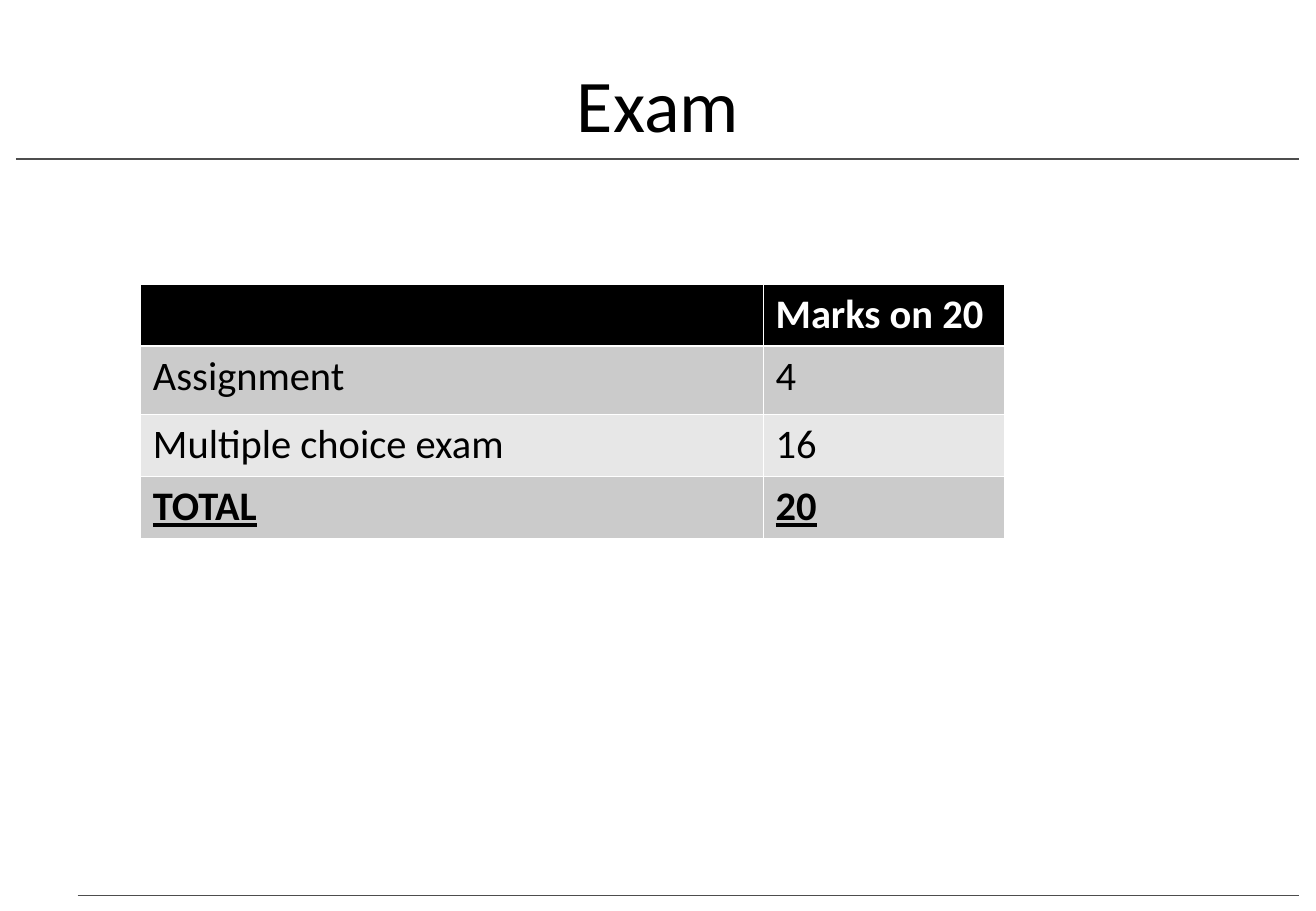
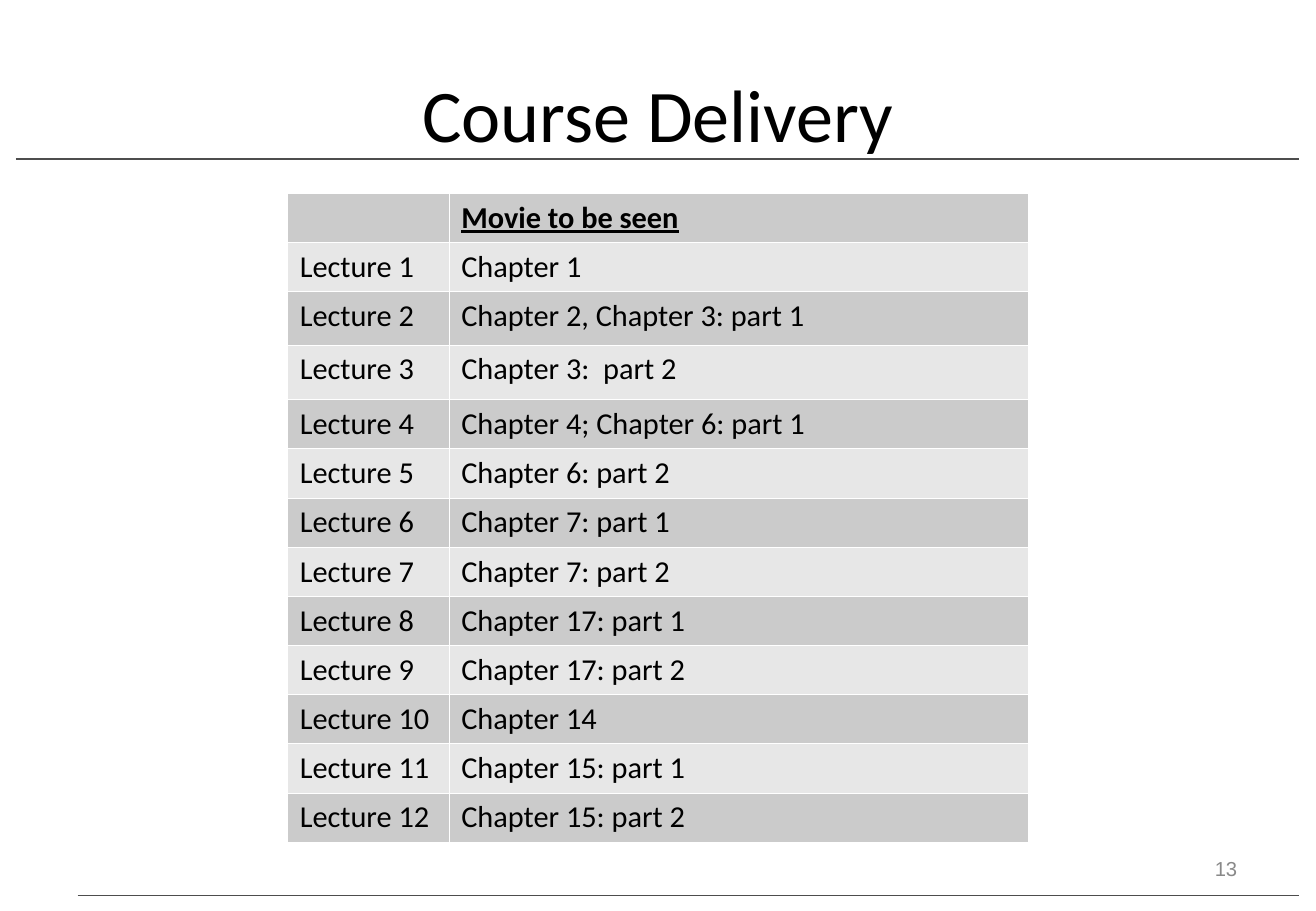
from dataclasses import dataclass
from typing import Optional

from lxml import etree
from pptx import Presentation
from pptx.dml.color import RGBColor
from pptx.enum.shapes import MSO_CONNECTOR
from pptx.enum.text import MSO_ANCHOR, PP_ALIGN
from pptx.oxml.ns import qn
from pptx.slide import Slide
from pptx.table import _Cell
from pptx.text.text import _Paragraph
from pptx.util import Inches, Pt

STRAIGHT = MSO_CONNECTOR.STRAIGHT
MIDDLE = MSO_ANCHOR.MIDDLE
CENTER, RIGHT = PP_ALIGN.CENTER, PP_ALIGN.RIGHT
WIDTH, HEIGHT = Inches(10.84), Inches(7.5)


@dataclass(frozen=True)
class Theme:
    ink: str = "000000"
    paper: str = "FFFFFF"
    rule: str = "4D4D4D"
    number: str = "898989"
    bands: tuple[str, str] = ("CBCBCB", "E7E7E7")
    text_font: str = "Calibri"
    number_font: str = "Arial"
    title_size: float = 44
    number_size: float = 12
    grid_line: float = 0.45
    header_line: float = 1.47


@dataclass(frozen=True)
class Rule:
    left: float
    top: float
    weight: float


@dataclass(frozen=True)
class Box:
    """Place and size in percent of the slide."""
    left: float
    top: float
    width: float
    height: float


@dataclass(frozen=True)
class Row:
    label: str
    value: str
    height: float


@dataclass(frozen=True)
class CourseTable:
    left: float
    top: float
    columns: tuple[float, float]
    rows: list[Row]
    text_size: float
    emphasised: int
    has_header: bool = False


@dataclass(frozen=True)
class Page:
    title: str
    title_margin: float
    title_top: float
    table: CourseTable
    number: Optional[str] = None


THEME = Theme()
RULES = (Rule(1.2, 17.47, 1), Rule(5.9, 98.27, 0.75))
RULE_END = 98.7
TITLE_HEIGHT = 16.67
NUMBER_BOX = Box(71.59, 92.67, 23.34, 5.33)
EXAM_ROW, LECTURE_ROW = 6.8, 5.4
TALL_LECTURE_ROWS = {2: 5.87, 3: 6}

CHAPTERS = (
    "Chapter 1",
    "Chapter 2, Chapter 3: part 1",
    "Chapter 3:  part 2",
    "Chapter 4; Chapter 6: part 1",
    "Chapter 6: part 2",
    "Chapter 7: part 1",
    "Chapter 7: part 2",
    "Chapter 17: part 1",
    "Chapter 17: part 2",
    "Chapter 14",
    "Chapter 15: part 1",
    "Chapter 15: part 2",
)

EXAM = CourseTable(
    10.7, 31.2, (47.32, 18.27),
    [
        Row("", "Marks on 20", EXAM_ROW),
        Row("Assignment", "4", 7.47),
        Row("Multiple choice exam", "16", EXAM_ROW),
        Row("TOTAL", "20", EXAM_ROW),
    ],
    text_size=24, emphasised=3, has_header=True,
)
LECTURES = CourseTable(
    21.86, 21.2, (12.27, 44),
    [Row("", "Movie to be seen", LECTURE_ROW)] + [
        Row(f"Lecture {n}", chapter, TALL_LECTURE_ROWS.get(n, LECTURE_ROW))
        for n, chapter in enumerate(CHAPTERS, start=1)
    ],
    text_size=18, emphasised=0,
)
PAGES = (
    Page("Exam", 10.7, 2.93, EXAM),
    Page("Course Delivery", 5, 4, LECTURES, number="13"),
)


def across(percent: float) -> int:
    return round(WIDTH * percent / 100)


def down(percent: float) -> int:
    return round(HEIGHT * percent / 100)


def set_font(paragraph: _Paragraph, name: str, size: float, color: str,
             bold: bool = False, underline: bool = False) -> None:
    font = paragraph.font
    font.name, font.size = name, Pt(size)
    font.bold, font.underline = bold, underline
    font.color.rgb = RGBColor.from_string(color)


def add_text(slide: Slide, box: Box, text: str, align: PP_ALIGN,
             font: str, size: float, color: str) -> None:
    frame = slide.shapes.add_textbox(
        across(box.left), down(box.top), across(box.width), down(box.height)
    ).text_frame
    frame.word_wrap = True
    frame.vertical_anchor = MIDDLE
    paragraph = frame.paragraphs[0]
    paragraph.text = text
    paragraph.alignment = align
    set_font(paragraph, font, size, color)


def add_rule(slide: Slide, rule: Rule) -> None:
    line = slide.shapes.add_connector(
        STRAIGHT, across(rule.left), down(rule.top), across(RULE_END), down(rule.top))
    line.line.color.rgb = RGBColor.from_string(THEME.rule)
    line.line.width = Pt(rule.weight)
    etree.SubElement(line._element.spPr, qn("a:effectLst"))


def set_borders(cell: _Cell, top: float, bottom: float) -> None:
    """Put the four border lines before the fill, as the schema orders them."""
    properties = cell._tc.get_or_add_tcPr()
    weights = {"lnL": THEME.grid_line, "lnR": THEME.grid_line, "lnT": top, "lnB": bottom}
    for position, (side, weight) in enumerate(weights.items()):
        border = etree.Element(qn(f"a:{side}"), w=str(int(Pt(weight))))
        fill = etree.SubElement(border, qn("a:solidFill"))
        etree.SubElement(fill, qn("a:srgbClr"), val=THEME.paper)
        properties.insert(position, border)


def add_course_table(slide: Slide, spec: CourseTable) -> None:
    table = slide.shapes.add_table(
        len(spec.rows), len(spec.columns), across(spec.left), down(spec.top),
        across(sum(spec.columns)), down(sum(row.height for row in spec.rows))
    ).table
    table.first_row = table.horz_banding = False
    for column, width in zip(table.columns, spec.columns):
        column.width = across(width)
    for index, row in enumerate(spec.rows):
        table.rows[index].height = down(row.height)
        is_header = spec.has_header and index == 0
        emphasised = index == spec.emphasised
        band = THEME.bands[(index - spec.has_header) % 2]
        below_header = spec.has_header and index == 1
        for cell, text in zip(table.rows[index].cells, (row.label, row.value)):
            cell.fill.solid()
            cell.fill.fore_color.rgb = RGBColor.from_string(THEME.ink if is_header else band)
            set_borders(cell,
                        top=THEME.header_line if below_header else THEME.grid_line,
                        bottom=THEME.header_line if is_header else THEME.grid_line)
            paragraph = cell.text_frame.paragraphs[0]
            paragraph.text = text
            set_font(paragraph, THEME.text_font, spec.text_size,
                     THEME.paper if is_header else THEME.ink,
                     bold=is_header or emphasised, underline=emphasised)


def add_page(prs: Presentation, page: Page) -> None:
    slide = prs.slides.add_slide(prs.slide_layouts[6])
    slide.background.fill.solid()
    slide.background.fill.fore_color.rgb = RGBColor.from_string(THEME.paper)
    for rule in RULES:
        add_rule(slide, rule)
    title_box = Box(page.title_margin, page.title_top,
                    100 - 2 * page.title_margin, TITLE_HEIGHT)
    add_text(slide, title_box, page.title, CENTER,
             THEME.text_font, THEME.title_size, THEME.ink)
    if page.number:
        add_text(slide, NUMBER_BOX, page.number, RIGHT,
                 THEME.number_font, THEME.number_size, THEME.number)
    add_course_table(slide, page.table)


def main() -> None:
    prs = Presentation()
    prs.slide_width, prs.slide_height = WIDTH, HEIGHT
    for page in PAGES:
        add_page(prs, page)
    prs.save("out.pptx")


if __name__ == "__main__":
    main()
